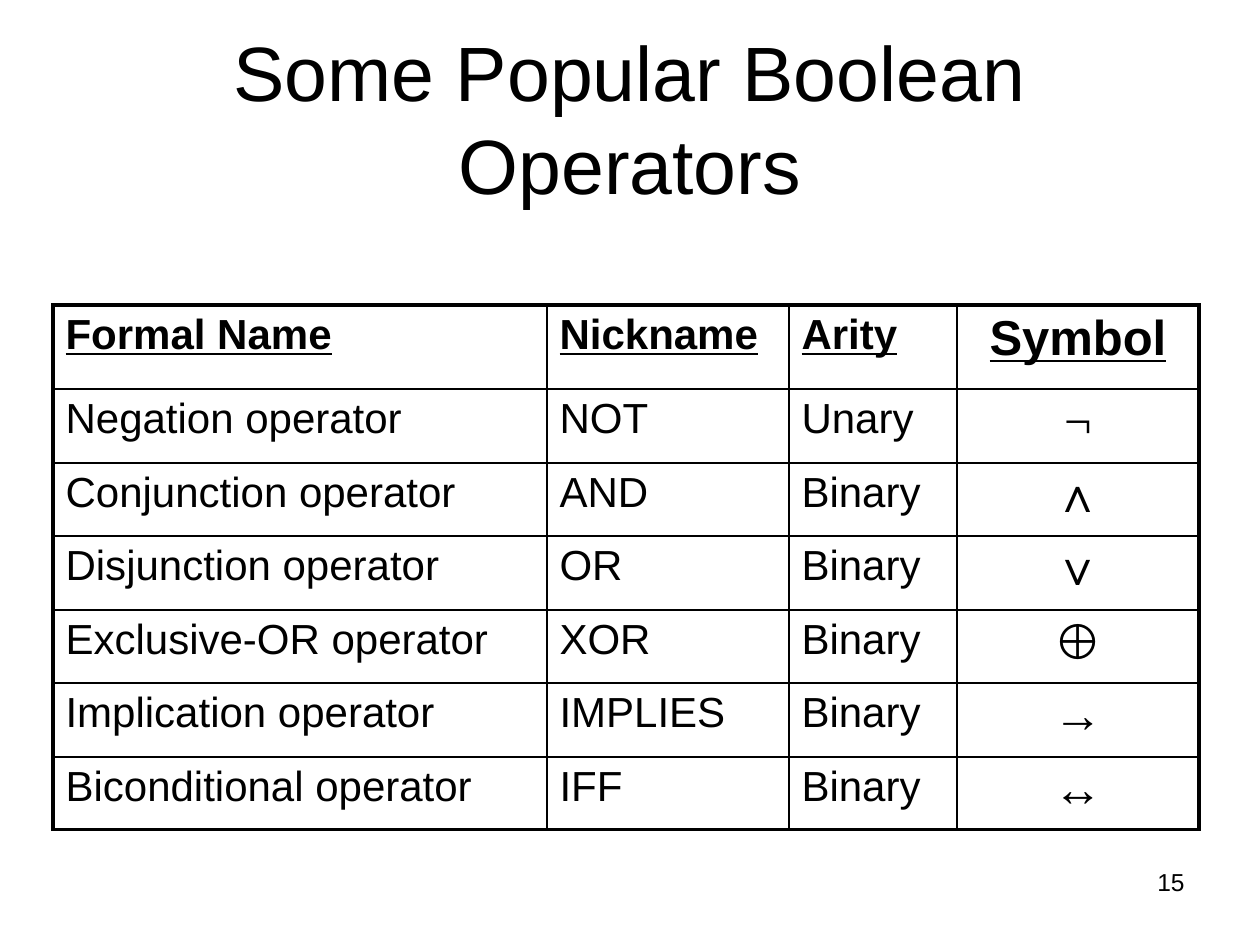
import pptx
import pptx.util
import pptx.dml.color
import pptx.enum.text
import pptx.oxml
import pptx.oxml.ns

COLORS = {"ink": "000000", "paper": "FFFFFF"}
ALIGN = pptx.enum.text.PP_ALIGN
ANCHOR = pptx.enum.text.MSO_ANCHOR
BODY = {"name": "Arial", "size": pptx.util.Pt(24)}
HEAD = {**BODY, "bold": True, "underline": True}
SIGN = {"name": "Times New Roman", "size": pptx.util.Pt(28)}
ROWS = [
    ("Formal Name", "Nickname", "Arity", "Symbol"),
    ("Negation operator", "NOT", "Unary", "¬"),
    ("Conjunction operator", "AND", "Binary", "∧"),
    ("Disjunction operator", "OR", "Binary", "∨"),
    ("Exclusive-OR operator", "XOR", "Binary", "⊕"),
    ("Implication operator", "IMPLIES", "Binary", "→"),
    ("Biconditional operator", "IFF", "Binary", "↔"),
]
WIDTHS = [494, 242, 168, 242]
HEIGHTS = [84] + [74, 73] * 3


def px(count):
    return round(count * 914400 / 126)


def color(name):
    return pptx.dml.color.RGBColor.from_string(COLORS[name])


class Deck:
    """Hold the style and current slide, and add each kind of element."""

    def __init__(self):
        self.show = pptx.Presentation()
        self.show.slide_width = px(1260)
        self.show.slide_height = px(945)
        self.slide = self.show.slides.add_slide(self.show.slide_layouts[6])

    def label(self, frame, text, style, align):
        par = frame.paragraphs[0]
        par.alignment = align
        run = par.add_run()
        run.text = text
        for key, value in style.items():
            setattr(run.font, key, value)
        run.font.color.rgb = color("ink")

    def text(self, spot, text, style, align, anchor):
        box = self.slide.shapes.add_textbox(*map(px, spot))
        frame = box.text_frame
        frame.word_wrap = True
        frame.vertical_anchor = anchor
        self.label(frame, text, style, align)

    def edge(self, cell, outer):
        props = cell._tc.get_or_add_tcPr()
        for index, side in enumerate("LRTB"):
            width = pptx.util.Pt(2.25 if side in outer else 1)
            line = pptx.oxml.parse_xml(
                f'<a:ln{side} {pptx.oxml.ns.nsdecls("a")} w="{width}"><a:solidFill>'
                f'<a:srgbClr val="{COLORS["ink"]}"/></a:solidFill></a:ln{side}>'
            )
            props.insert(index, line)

    def table(self, left, top, rows, widths, heights):
        spot = map(px, (left, top, sum(widths), sum(heights)))
        grid = self.slide.shapes.add_table(len(rows), len(widths), *spot).table
        for col, width in zip(grid.columns, widths):
            col.width = px(width)
        for row, height in zip(grid.rows, heights):
            row.height = px(height)
        for r, row in enumerate(rows):
            for c, text in enumerate(row):
                cell = grid.cell(r, c)
                cell.fill.solid()
                cell.fill.fore_color.rgb = color("paper")
                last = c == len(widths) - 1
                style = HEAD if r == 0 else SIGN if last else BODY
                if last:
                    style = {**style, "size": SIGN["size"]}
                align = ALIGN.CENTER if last else ALIGN.LEFT
                self.label(cell.text_frame, text, style, align)
                ends = {"L": c == 0, "R": last, "T": r == 0, "B": r == len(rows) - 1}
                self.edge(cell, [side for side, end in ends.items() if end])


def main():
    deck = Deck()
    deck.text((63, 38, 1134, 158), "Some Popular Boolean Operators",
              {**BODY, "size": pptx.util.Pt(44)}, ALIGN.CENTER, ANCHOR.MIDDLE)
    deck.table(53, 305, ROWS, WIDTHS, HEIGHTS)
    deck.text((903, 861, 294, 66), "15",
              {**BODY, "size": pptx.util.Pt(14)}, ALIGN.RIGHT, ANCHOR.TOP)
    deck.show.save("out.pptx")


if __name__ == "__main__":
    main()
